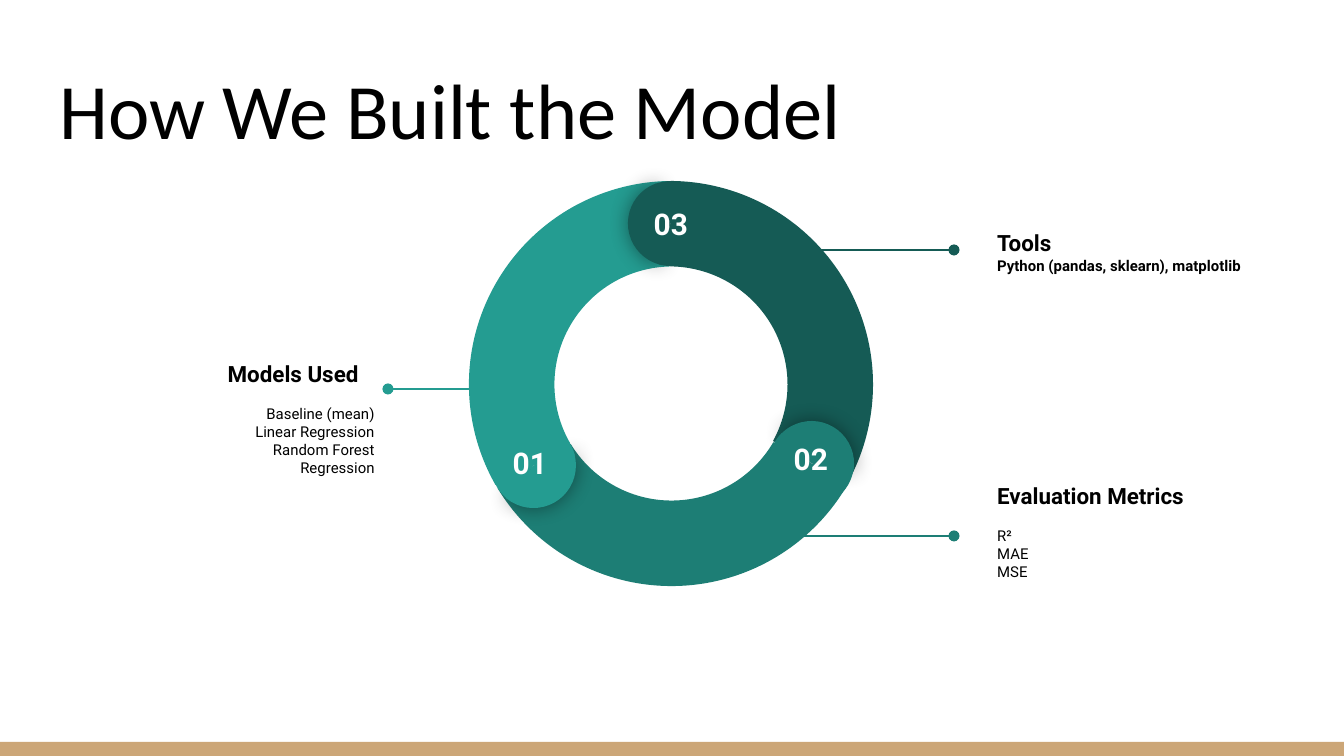
"""Build the "How We Built the Model" slide: a three-part ring with labelled callouts."""
import lxml.etree
import pptx
import pptx.dml.color
import pptx.enum.shapes
import pptx.enum.text
import pptx.oxml.ns
import pptx.util

SHAPE = pptx.enum.shapes.MSO_SHAPE
ALIGN = pptx.enum.text.PP_ALIGN
ANCHOR = pptx.enum.text.MSO_ANCHOR
qn = pptx.oxml.ns.qn
rgb = pptx.dml.color.RGBColor.from_string
EMU_PER_PX = 914400 / 134.4

THEME = {
    "bar": rgb("CCA677"),
    "models": rgb("249C91"),
    "metrics": rgb("1D7E75"),
    "tools": rgb("155B55"),
    "title": {"name": "Calibri", "size": pptx.util.Pt(42), "bold": False},
    "heading": {"name": "Roboto", "size": pptx.util.Pt(12), "bold": True},
    "detail": {"name": "Roboto", "size": pptx.util.Pt(8), "bold": False},
    "strong_detail": {"name": "Roboto", "size": pptx.util.Pt(8), "bold": True},
    "number": {"name": "Roboto", "size": pptx.util.Pt(16), "bold": True},
    "ink": rgb("000000"),
    "number_ink": rgb("FFFFFF"),
}

deck = pptx.Presentation()
deck.slide_width, deck.slide_height = (round(px * EMU_PER_PX) for px in (1344, 756))
slide = deck.slides.add_slide(deck.slide_layouts[6])


def add_part(kind, box, color, rotation=0, adjustments=()):
    part = slide.shapes.add_shape(kind, *(round(px * EMU_PER_PX) for px in box))
    part.shadow.inherit = False
    part.fill.solid()
    part.fill.fore_color.rgb = color
    part.line.fill.background()
    part.rotation = rotation
    for index, value in enumerate(adjustments):
        part.adjustments[index] = value
    return part


def add_text(box, lines, ink=THEME["ink"], anchor=ANCHOR.TOP):
    frame = slide.shapes.add_textbox(*(round(px * EMU_PER_PX) for px in box)).text_frame
    margin = pptx.util.Inches(0.1)
    frame_format = {"word_wrap": True, "vertical_anchor": anchor, "margin_left": margin,
                    "margin_right": margin, "margin_top": margin, "margin_bottom": margin}
    for name, value in frame_format.items():
        setattr(frame, name, value)
    for index, (words, style, align, gap) in enumerate(lines):
        paragraph = frame.add_paragraph() if index else frame.paragraphs[0]
        paragraph.alignment = align
        paragraph.space_after = pptx.util.Pt(gap)
        run = paragraph.add_run()
        run.text = words
        run.font.color.rgb = ink
        for name, value in THEME[style].items():
            setattr(run.font, name, value)


add_part(SHAPE.RECTANGLE, (0, 742, 1344, 14), THEME["bar"])
add_text((46, 47, 1253, 122), [("How We Built the Model", "title", ALIGN.LEFT, 0)],
         anchor=ANCHOR.BOTTOM)

callouts = [
    ("models", (204, 347, 184, 140), "Models Used ", ALIGN.CENTER, 9.4, "detail", ALIGN.RIGHT,
     ["Baseline (mean)", "Linear Regression", "Random Forest Regression"], (481, 388, 389)),
    ("tools", (984, 216, 312, 70), "Tools", ALIGN.LEFT, 0, "strong_detail", ALIGN.LEFT,
     ["Python (pandas, sklearn), matplotlib"], (766, 954, 250)),
    ("metrics", (984, 469, 312, 125), "Evaluation Metrics", ALIGN.LEFT, 9.4, "detail", ALIGN.LEFT,
     ["R²", "MAE", "MSE"], (766, 954, 536)),
]
for topic, box, heading, heading_align, gap, style, align, details, (start, end, level) in callouts:
    add_text(box, [(heading, "heading", heading_align, gap)]
             + [(detail, style, align, 0) for detail in details])
    leader = slide.shapes.add_connector(
        pptx.enum.shapes.MSO_CONNECTOR.STRAIGHT,
        *(round(px * EMU_PER_PX) for px in (start, level, end, level)))
    leader.line.color.rgb = THEME[topic]
    leader.line.width = pptx.util.Pt(0.75)
    lxml.etree.SubElement(leader.line._get_or_add_ln(), qn("a:tailEnd"), type="oval")
    lxml.etree.SubElement(leader._element.spPr, qn("a:effectLst"))

segments = [
    ("tools", "03 ", 60, (466, 181), (628, 181), (637, 192)),
    ("metrics", "02 ", 180, (468, 179), (769, 421), (777, 427)),
    ("models", "01 ", 300, (469, 181), (491, 423), (496, 431)),
]
for topic, _, turn, ring_corner, _, _ in segments:
    add_part(SHAPE.BLOCK_ARC, (*ring_corner, 407, 407), THEME[topic], turn, (126.23, 197.2, 0.21))

for topic, number, turn, _, cap_corner, number_corner in segments:
    cap = (*cap_corner, 85, 85)
    shaded = add_part(SHAPE.PIE, cap, THEME[topic], turn - 59.3, (61.9, 149.96))
    shadow = lxml.etree.SubElement(
        shaded._element.spPr.find(qn("a:effectLst")), qn("a:outerShdw"),
        blurRad=str(pptx.util.Pt(11.2)), dist="0", dir="0", algn="ctr", rotWithShape="0")
    shadow_color = lxml.etree.SubElement(shadow, qn("a:srgbClr"), val="000000")
    lxml.etree.SubElement(shadow_color, qn("a:alpha"), val="43000")
    add_part(SHAPE.PIE, cap, THEME[topic], (turn + 120) % 360, (40.28, 171.84))
    add_text((*number_corner, 75, 39), [(number, "number", ALIGN.CENTER, 0)], THEME["number_ink"])

deck.save("out.pptx")
